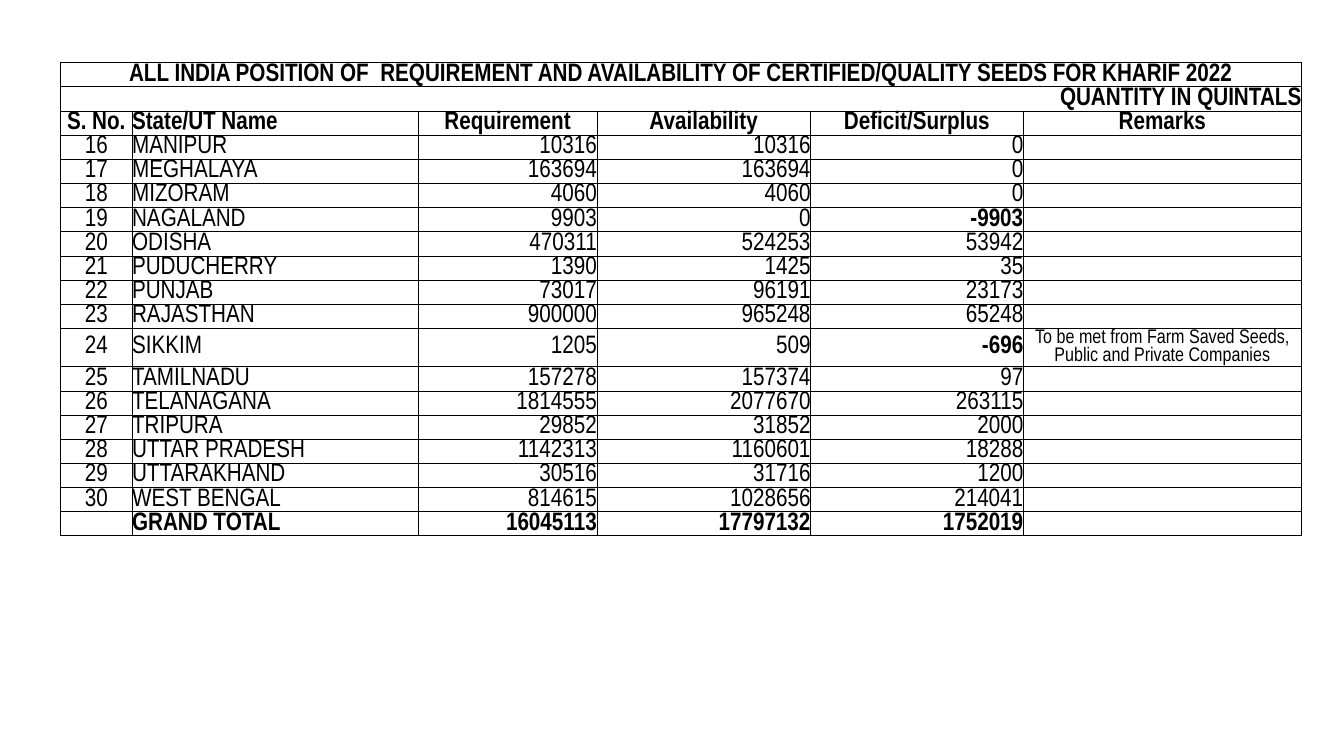
import pptx
import pptx.dml.color
import pptx.enum.text
import pptx.oxml
import pptx.oxml.ns
import pptx.util
from pptx.util import Inches

FONT = "Arial Narrow"
BLACK, WHITE = "000000", "FFFFFF"
LEFT = pptx.enum.text.PP_ALIGN.LEFT
CENTER = pptx.enum.text.PP_ALIGN.CENTER
RIGHT = pptx.enum.text.PP_ALIGN.RIGHT

TITLE = "ALL INDIA POSITION OF  REQUIREMENT AND AVAILABILITY OF CERTIFIED/QUALITY SEEDS FOR KHARIF 2022"
UNIT = "QUANTITY IN QUINTALS"
HEADINGS = ["S. No.", "State/UT Name", "Requirement", "Availability", "Deficit/Surplus", "Remarks"]
FIRST_NUMBER = 16
STATES = [
    ("MANIPUR", 10316, 10316, 0),
    ("MEGHALAYA", 163694, 163694, 0),
    ("MIZORAM", 4060, 4060, 0),
    ("NAGALAND", 9903, 0, -9903),
    ("ODISHA", 470311, 524253, 53942),
    ("PUDUCHERRY", 1390, 1425, 35),
    ("PUNJAB", 73017, 96191, 23173),
    ("RAJASTHAN", 900000, 965248, 65248),
    ("SIKKIM", 1205, 509, -696),
    ("TAMILNADU", 157278, 157374, 97),
    ("TELANAGANA", 1814555, 2077670, 263115),
    ("TRIPURA", 29852, 31852, 2000),
    ("UTTAR PRADESH", 1142313, 1160601, 18288),
    ("UTTARAKHAND", 30516, 31716, 1200),
    ("WEST BENGAL", 814615, 1028656, 214041),
]
REMARKS = {"SIKKIM": "To be met from Farm Saved Seeds, Public and Private Companies"}
GRAND_TOTAL = ["", "GRAND TOTAL", 16045113, 17797132, 1752019, ""]

COLUMN_WIDTHS = [0.71, 2.84, 1.77, 2.12, 2.11, 2.76]
COLUMN_ALIGNMENTS = [CENTER, LEFT, RIGHT, RIGHT, RIGHT, CENTER]
ROW_HEIGHT, REMARK_ROW_HEIGHT = 0.24, 0.38


def color(value):
    return pptx.dml.color.RGBColor.from_string(value)


def set_borders(cell, widths):
    properties = cell._tc.get_or_add_tcPr()
    for side, width in zip("LRTB", widths):
        properties.append(pptx.oxml.parse_xml(
            f'<a:ln{side} {pptx.oxml.ns.nsdecls("a")} w="{pptx.util.Pt(width)}">'
            f'<a:solidFill><a:srgbClr val="{BLACK}"/></a:solidFill></a:ln{side}>'))


def set_fill(cell, fill):
    if fill:
        cell.fill.solid()
        cell.fill.fore_color.rgb = color(fill)
    else:
        cell.fill.background()


def write(cell, text, alignment, size=18, bold=False):
    cell.margin_left = cell.margin_right = cell.margin_top = cell.margin_bottom = 0
    cell.vertical_anchor = pptx.enum.text.MSO_ANCHOR.MIDDLE
    paragraph = cell.text_frame.paragraphs[0]
    if text == "":
        paragraph._p.append(pptx.oxml.parse_xml(
            f'<a:endParaRPr {pptx.oxml.ns.nsdecls("a")} sz="1000"/>'))
        return
    paragraph.text = str(text)
    paragraph.alignment = alignment
    paragraph.font.name = FONT
    paragraph.font.size = pptx.util.Pt(size)
    paragraph.font.bold = bold
    paragraph.font.color.rgb = color(BLACK)


def table_rows():
    blanks = [""] * 5
    rows = [[TITLE] + blanks, [UNIT] + blanks, HEADINGS]
    for number, state in enumerate(STATES, FIRST_NUMBER):
        rows.append([number, *state, REMARKS.get(state[0], "")])
    return rows + [GRAND_TOTAL]


def add_seed_table(slide):
    rows = table_rows()
    last_row, last_column = len(rows) - 1, len(COLUMN_WIDTHS) - 1
    heights = [REMARK_ROW_HEIGHT if row[1] in REMARKS else ROW_HEIGHT for row in rows]
    table = slide.shapes.add_table(
        len(rows), len(COLUMN_WIDTHS), Inches(0.6), Inches(0.62),
        Inches(sum(COLUMN_WIDTHS)), Inches(sum(heights))).table
    table.first_row = table.horz_banding = False
    for column, width in zip(table.columns, COLUMN_WIDTHS):
        column.width = Inches(width)
    for row, height in zip(table.rows, heights):
        row.height = Inches(height)

    for r, row in enumerate(rows):
        for c, text in enumerate(row):
            cell = table.cell(r, c)
            outer_sides = (c == 0 or r < 2, c == last_column or r < 2, r == 0, r == last_row)
            set_borders(cell, [1 if outer else 0.5 for outer in outer_sides])
            heading = r == 2 and 0 < c < last_column
            state_name = c == 1 and 2 < r < last_row
            set_fill(cell, WHITE if heading or state_name else None)
            alignment = COLUMN_ALIGNMENTS[c]
            if r == 1:
                alignment = RIGHT
            elif r == 2 and c != 1:
                alignment = CENTER
            deficit = c == 4 and str(text).startswith("-")
            remark = r > 2 and c == last_column
            write(cell, text, alignment, size=14 if remark else 18,
                  bold=r <= 2 or r == last_row or deficit)
    for r in range(2):
        table.cell(r, 0).merge(table.cell(r, last_column))


def main():
    presentation = pptx.Presentation()
    presentation.slide_width = Inches(13.33)
    presentation.slide_height = Inches(7.5)
    slide = presentation.slides.add_slide(presentation.slide_layouts[6])
    add_seed_table(slide)
    presentation.save("out.pptx")


if __name__ == "__main__":
    main()
